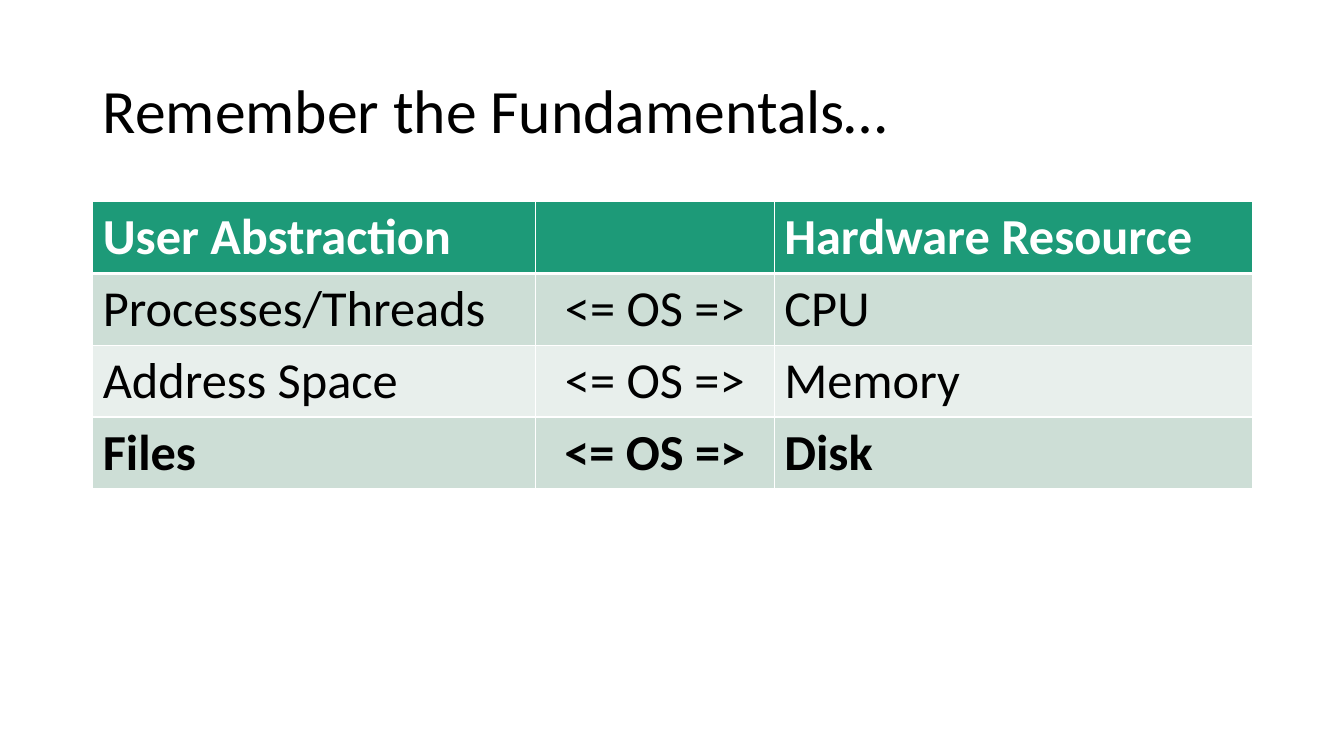
from lxml import etree
from pptx import Presentation
from pptx.dml.color import RGBColor
from pptx.enum.text import MSO_ANCHOR, PP_ALIGN
from pptx.oxml.ns import qn
from pptx.util import Inches, Pt

LEFT, CENTER = PP_ALIGN.LEFT, PP_ALIGN.CENTER
MIDDLE = MSO_ANCHOR.MIDDLE

BLACK = RGBColor(0x00, 0x00, 0x00)
WHITE = RGBColor(0xFF, 0xFF, 0xFF)
GREEN = RGBColor(0x1D, 0x9A, 0x78)
BAND_DARK = RGBColor(0xCD, 0xDE, 0xD6)
BAND_LIGHT = RGBColor(0xE8, 0xEF, 0xEC)

FONT = "Calibri"
TITLE_BOX = (0.92, 0.4, 11.5, 1.45)
TABLE_BOX = (0.92, 2, 11.5, 2.84)
COLUMN_WIDTHS = (4.39, 2.37, 4.74)
OS_LINK = "<= OS =>"
ROWS = (
    ("User Abstraction", "", "Hardware Resource"),
    ("Processes/Threads", OS_LINK, "CPU"),
    ("Address Space", OS_LINK, "Memory"),
    ("Files", OS_LINK, "Disk"),
)
BOLD_ROWS = (0, len(ROWS) - 1)


def style_paragraph(paragraph, size, color, bold=False, alignment=LEFT):
    paragraph.alignment = alignment
    for run in paragraph.runs:
        run.font.name = FONT
        run.font.size = Pt(size)
        run.font.bold = bold
        run.font.color.rgb = color


def set_border(cell, side, width):
    """Draw one white cell edge; call in the order L, R, T, B before filling."""
    properties = cell._tc.get_or_add_tcPr()
    line = etree.SubElement(properties, qn(f"a:ln{side}"), w=str(Pt(width)))
    fill = etree.SubElement(line, qn("a:solidFill"))
    etree.SubElement(fill, qn("a:srgbClr"), val=str(WHITE))


def add_title(slide, box):
    title = slide.shapes.title
    title.left, title.top, title.width, title.height = map(Inches, box)
    text_frame = title.text_frame
    text_frame.text = "Remember the Fundamentals…"
    text_frame.word_wrap = True
    text_frame.vertical_anchor = MIDDLE
    paragraph = text_frame.paragraphs[0]
    paragraph.line_spacing = 0.9
    style_paragraph(paragraph, 44, BLACK)


def add_abstraction_table(slide, box):
    table = slide.shapes.add_table(
        len(ROWS), len(COLUMN_WIDTHS), *map(Inches, box)).table
    for column, width in zip(table.columns, COLUMN_WIDTHS):
        column.width = Inches(width)

    for row_index, texts in enumerate(ROWS):
        is_header = row_index == 0
        band = BAND_DARK if row_index % 2 else BAND_LIGHT
        for column_index, text in enumerate(texts):
            cell = table.cell(row_index, column_index)
            # A thick rule separates the header from the body
            set_border(cell, "L", 1)
            set_border(cell, "R", 1)
            set_border(cell, "T", 3 if row_index == 1 else 1)
            set_border(cell, "B", 3 if is_header else 1)
            cell.fill.solid()
            cell.fill.fore_color.rgb = GREEN if is_header else band
            cell.text_frame.text = text
            style_paragraph(
                cell.text_frame.paragraphs[0], 36,
                WHITE if is_header else BLACK,
                bold=row_index in BOLD_ROWS,
                alignment=CENTER if column_index == 1 else LEFT)


def main():
    presentation = Presentation()
    presentation.slide_width = Inches(13.33)
    presentation.slide_height = Inches(7.5)
    # Layout 5 holds a title only
    slide = presentation.slides.add_slide(presentation.slide_layouts[5])
    add_title(slide, TITLE_BOX)
    add_abstraction_table(slide, TABLE_BOX)
    presentation.save("out.pptx")


if __name__ == "__main__":
    main()
